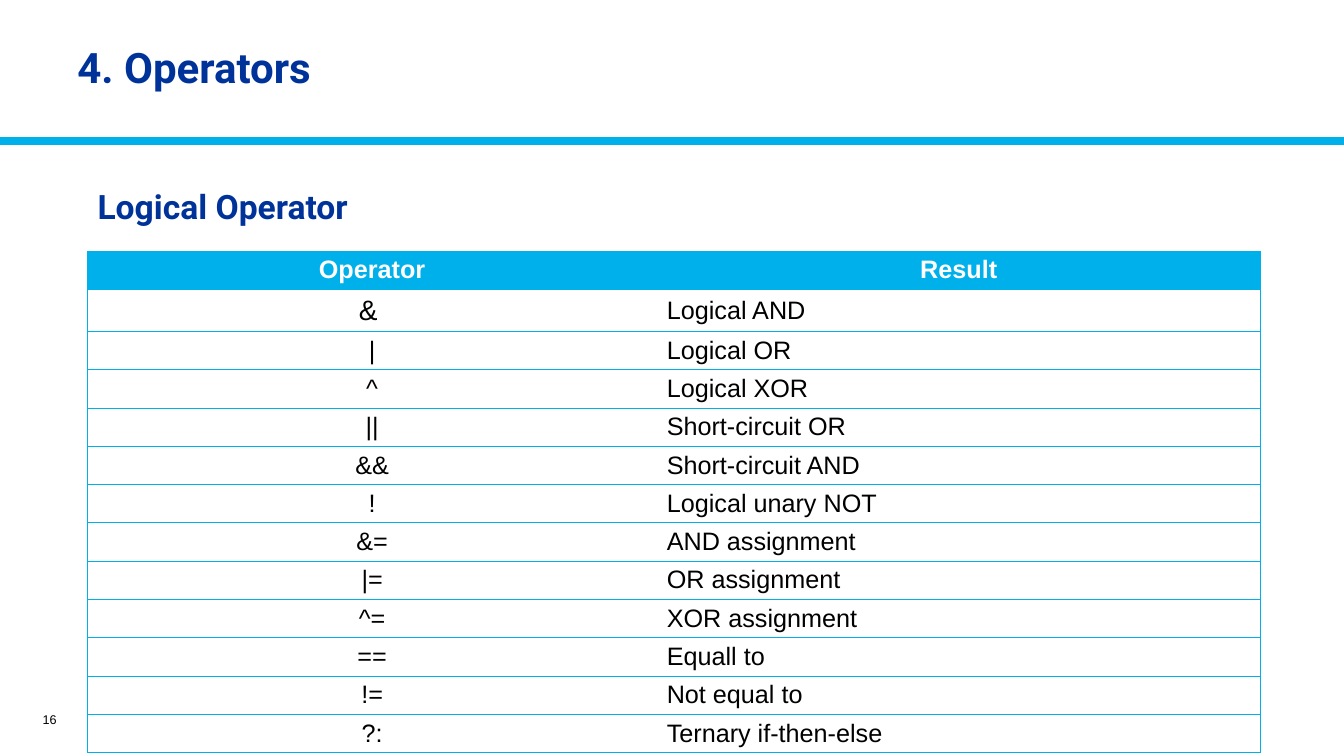
from dataclasses import dataclass

import pptx
import pptx.dml.color
import pptx.enum.shapes
import pptx.enum.text
import pptx.oxml.ns
import pptx.slide
import pptx.table
import pptx.text.text
import pptx.util
from lxml import etree

Pt = pptx.util.Pt
RGBColor = pptx.dml.color.RGBColor
Align = pptx.enum.text.PP_ALIGN
Anchor = pptx.enum.text.MSO_ANCHOR

CYAN = RGBColor(0x00, 0xB0, 0xEA)
NAVY = RGBColor(0x00, 0x33, 0x99)
BLACK = RGBColor(0x00, 0x00, 0x00)
WHITE = RGBColor(0xFF, 0xFF, 0xFF)

SLIDE_WIDTH, SLIDE_HEIGHT = 960, 540
RULE_TOP = 100.8
TABLE_LEFT, TABLE_TOP = 62.6, 179.3
COLUMN_WIDTHS = (406.5, 431.5)
ROW_HEIGHT, FIRST_OPERATOR_HEIGHT = 27.36, 30
BORDER_WIDTH = 0.5


@dataclass(frozen=True)
class Label:
    text: str
    left: float
    top: float
    width: float
    height: float
    size: float
    font: str = "Roboto"
    color: RGBColor = NAVY
    bold: bool = True
    align: Align = Align.LEFT


@dataclass(frozen=True)
class Operator:
    symbol: str
    result: str
    size: float = 18
    height: float = ROW_HEIGHT


LABELS = (
    Label("4. Operators", 48.2, 7.5, 865.4, 80, 30),
    Label("Logical Operator", 62.6, 117.5, 649.4, 60, 24),
    Label("16", 6.5, 503.3, 41, 21.6, 9, "Arial", BLACK, False, Align.RIGHT),
)

OPERATORS = (
    Operator("& ", "Logical AND", 20, FIRST_OPERATOR_HEIGHT),
    Operator("|", "Logical OR"),
    Operator("^", "Logical XOR"),
    Operator("||", "Short-circuit OR"),
    Operator("&&", "Short-circuit AND"),
    Operator("!", "Logical unary NOT"),
    Operator("&=", "AND assignment"),
    Operator("|=", "OR assignment"),
    Operator("^=", "XOR assignment"),
    Operator("==", "Equall to"),
    Operator("!=", "Not equal to"),
    Operator("?:", "Ternary if-then-else"),
)


def write_text(
    frame: pptx.text.text.TextFrame,
    text: str,
    *,
    size: float,
    font: str = "Arial",
    color: RGBColor = BLACK,
    bold: bool = False,
    align: Align = Align.LEFT,
) -> None:
    paragraph = frame.paragraphs[0]
    paragraph.alignment = align
    run = paragraph.add_run()
    run.text = text
    run.font.size = Pt(size)
    run.font.name = font
    run.font.bold = bold
    run.font.color.rgb = color


def add_label(slide: pptx.slide.Slide, label: Label) -> None:
    shape = slide.shapes.add_textbox(
        Pt(label.left), Pt(label.top), Pt(label.width), Pt(label.height)
    )
    frame = shape.text_frame
    frame.word_wrap = True
    frame.vertical_anchor = Anchor.MIDDLE
    write_text(
        frame, label.text, size=label.size, font=label.font,
        color=label.color, bold=label.bold, align=label.align,
    )


def add_rule(slide: pptx.slide.Slide) -> None:
    rule = slide.shapes.add_connector(
        pptx.enum.shapes.MSO_CONNECTOR.STRAIGHT,
        Pt(0), Pt(RULE_TOP), Pt(SLIDE_WIDTH), Pt(RULE_TOP),
    )
    rule.line.color.rgb = CYAN
    rule.line.width = Pt(6)
    etree.SubElement(rule._element.spPr, pptx.oxml.ns.qn("a:effectLst"))


def set_borders(cell: pptx.table._Cell, visible_sides: str) -> None:
    properties = cell._tc.get_or_add_tcPr()
    for position, side in enumerate("LRTB"):
        border = etree.Element(
            pptx.oxml.ns.qn(f"a:ln{side}"), w=str(int(Pt(BORDER_WIDTH)))
        )
        if side in visible_sides:
            fill = etree.SubElement(border, pptx.oxml.ns.qn("a:solidFill"))
            etree.SubElement(fill, pptx.oxml.ns.qn("a:srgbClr"), val=str(CYAN))
        else:
            etree.SubElement(border, pptx.oxml.ns.qn("a:noFill"))
        properties.insert(position, border)


def add_operator_table(slide: pptx.slide.Slide) -> None:
    rows = (Operator("Operator", "Result"), *OPERATORS)
    table = slide.shapes.add_table(
        len(rows), len(COLUMN_WIDTHS), Pt(TABLE_LEFT), Pt(TABLE_TOP),
        Pt(sum(COLUMN_WIDTHS)), Pt(sum(row.height for row in rows)),
    ).table
    table.horz_banding = False
    for column, width in zip(table.columns, COLUMN_WIDTHS):
        column.width = Pt(width)
    for row_index, row in enumerate(rows):
        table.rows[row_index].height = Pt(row.height)
        is_header = row_index == 0
        texts = ((row.symbol, row.size, "LTB"), (row.result, 18, "RTB"))
        for column_index, (text, size, sides) in enumerate(texts):
            cell = table.cell(row_index, column_index)
            cell.vertical_anchor = Anchor.MIDDLE
            cell.margin_top = cell.margin_bottom = Pt(3)
            cell.fill.solid()
            cell.fill.fore_color.rgb = CYAN if is_header else WHITE
            set_borders(cell, sides)
            centered = is_header or column_index == 0
            write_text(
                cell.text_frame, text, size=size, bold=is_header,
                color=WHITE if is_header else BLACK,
                align=Align.CENTER if centered else Align.LEFT,
            )


def main() -> None:
    presentation = pptx.Presentation()
    presentation.slide_width = Pt(SLIDE_WIDTH)
    presentation.slide_height = Pt(SLIDE_HEIGHT)
    slide = presentation.slides.add_slide(presentation.slide_layouts[6])
    add_rule(slide)
    add_operator_table(slide)
    for label in LABELS:
        add_label(slide, label)
    presentation.save("out.pptx")


if __name__ == "__main__":
    main()
